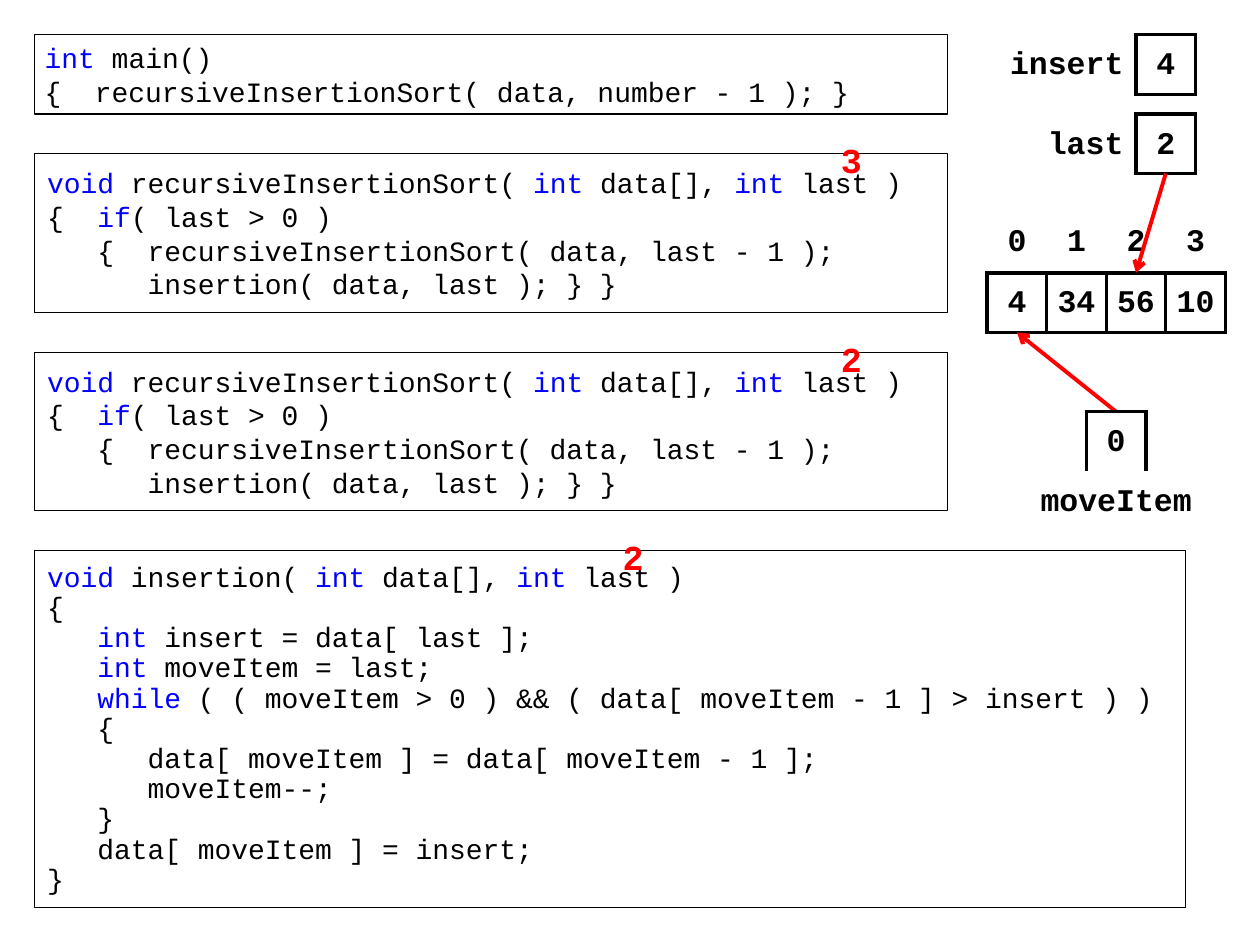
from lxml import etree
from pptx import Presentation
from pptx.dml.color import RGBColor
from pptx.enum.shapes import MSO_CONNECTOR, MSO_SHAPE
from pptx.enum.text import MSO_ANCHOR, PP_ALIGN
from pptx.oxml.ns import qn
from pptx.util import Cm, Inches, Pt

BLACK = RGBColor(0, 0, 0)
WHITE = RGBColor(255, 255, 255)
BLUE = RGBColor(0, 0, 255)
RED = RGBColor(255, 0, 0)

FONT = "Courier New"
CODE = {"name": FONT, "size": Pt(16), "bold": False}
VALUE = {"name": FONT, "size": Pt(18), "bold": True}
CALL = {"name": FONT, "size": Pt(20), "bold": True}

MARGIN, STEP = 0.7, 0.4  # grid origin and pitch in cm
CELL = 3                 # side of a variable's box in grid steps
NO_STYLE = "{2D5ABB26-0587-4C30-8999-92F81FD0307C}"

# Keywords stand between backticks
MAIN = ["`int` main()",
        "{  recursiveInsertionSort( data, number - 1 ); }"]
SORT = ["`void `recursiveInsertionSort( `int` data[], `int` last )",
        "{  `if`( last > 0 )",
        "   {  recursiveInsertionSort( data, last - 1 );",
        "      insertion( data, last ); } }"]
INSERTION = ["`void` insertion( `int` data[], `int `last )",
             "{",
             "   `int` insert = data[ last ];",
             "   `int `moveItem = last;",
             "   `while` ( ( moveItem > 0 ) && ( data[ moveItem - 1 ] > insert ) )",
             "   {",
             "      data[ moveItem ] = data[ moveItem - 1 ];",
             "      moveItem--;",
             "   }",
             "   data[ moveItem ] = insert;",
             "}"]


def at(*steps):
    return [Cm(MARGIN + STEP * n) for n in steps]


def size(*steps):
    return [Cm(STEP * n) for n in steps]


def apply(target, values):
    for name, value in values.items():
        setattr(target, name, value)


def add_run(paragraph, text, style, color):
    run = paragraph.add_run()
    run.text = text
    apply(run.font, style)
    run.font.color.rgb = color


def set_insets(target, left, top, right, bottom):
    apply(target, {"margin_left": Inches(left), "margin_top": Inches(top),
                   "margin_right": Inches(right), "margin_bottom": Inches(bottom)})


def add_code(slide, box, lines, side=0.1, edge=0, spacing=1.0):
    """A framed function with its keywords in blue."""
    col, row, width, height = box
    frame = slide.shapes.add_shape(MSO_SHAPE.RECTANGLE, *at(col, row), *size(width, height))
    frame.shadow.inherit = False
    frame.fill.background()
    frame.line.color.rgb = BLACK
    frame.line.width = Pt(0.75)
    body = frame.text_frame
    apply(body, {"word_wrap": True, "vertical_anchor": MSO_ANCHOR.MIDDLE})
    set_insets(body, side, edge, side, edge)
    for i, line in enumerate(lines):
        paragraph = body.add_paragraph() if i else body.paragraphs[0]
        apply(paragraph, {"alignment": PP_ALIGN.LEFT, "line_spacing": spacing})
        for j, part in enumerate(line.split("`")):
            if part:
                add_run(paragraph, part, CODE, BLUE if j % 2 else BLACK)


def add_call_value(slide, col, row, value):
    """The red argument above a parameter."""
    label = slide.shapes.add_textbox(*at(col, row), *size(2, 2))
    body = label.text_frame
    body.word_wrap = False
    set_insets(body, 0.1, 0.04, 0.1, 0)
    body.paragraphs[0].alignment = PP_ALIGN.CENTER
    add_run(body.paragraphs[0], value, CALL, RED)


def add_grid(slide, col, row, widths, rows):
    """An unstyled table whose rows are one cell high."""
    frame = slide.shapes.add_table(rows, len(widths), *at(col, row),
                                   *size(sum(widths), rows * CELL))
    table = frame.table
    apply(table, {"first_row": False, "horz_banding": False})
    table._tbl.tblPr.find(qn("a:tableStyleId")).text = NO_STYLE
    for column, width in zip(table.columns, widths):
        column.width = Cm(STEP * width)
    for line in table.rows:
        line.height = Cm(STEP * CELL)
    for cell in table.iter_cells():
        cell.fill.background()
    return table


def fill_cell(cell, text, sides="", align=PP_ALIGN.CENTER, side=0.08, bottom=0.02, fill=None):
    set_insets(cell, side, 0.05, side, bottom)
    cell.vertical_anchor = MSO_ANCHOR.MIDDLE
    paragraph = cell.text_frame.paragraphs[0]
    paragraph.alignment = align
    add_run(paragraph, text, VALUE, BLACK)
    # Borders precede the fill in the cell properties
    properties = cell._tc.get_or_add_tcPr()
    for i, edge in enumerate(sides):
        border = etree.Element(qn(f"a:ln{edge}"), w=str(Pt(2.25)))
        solid = etree.SubElement(border, qn("a:solidFill"))
        etree.SubElement(solid, qn("a:srgbClr"), val=str(BLACK))
        properties.insert(i, border)
    if fill is not None:
        cell.fill.solid()
        cell.fill.fore_color.rgb = fill


def add_variable(slide, col, row, label_width, name, value):
    """A name with its boxed value to the right."""
    table = add_grid(slide, col, row, [label_width, CELL], 1)
    fill_cell(table.cell(0, 0), name, align=PP_ALIGN.RIGHT, side=0.1)
    fill_cell(table.cell(0, 1), value, "LRTB")


def add_array(slide, col, row, values):
    """Indices over boxed values."""
    table = add_grid(slide, col, row, [CELL] * len(values), 2)
    for i, value in enumerate(values):
        fill_cell(table.cell(0, i), str(i), "B", bottom=0.05)
        fill_cell(table.cell(1, i), str(value), "LRTB", fill=WHITE)


def add_move_item(slide, col, row, value):
    """A boxed value over its name."""
    table = add_grid(slide, col, row, [CELL] * 3, 2)
    fill_cell(table.cell(0, 1), value, "LRT", side=0.1)
    table.cell(1, 0).merge(table.cell(1, 2))
    fill_cell(table.cell(1, 0), "moveItem", side=0.1)


def add_arrow(slide, *ends):
    arrow = slide.shapes.add_connector(MSO_CONNECTOR.STRAIGHT, *at(*ends))
    arrow.line.color.rgb = RED
    arrow.line.width = Pt(2.25)
    etree.SubElement(arrow.line._get_or_add_ln(), qn("a:tailEnd"), type="arrow")
    etree.SubElement(arrow._element.spPr, qn("a:effectLst"))


def add_call_stack(slide):
    add_code(slide, (0, 0, 46, 4), MAIN, side=0.08)
    for row, last in ((6, "3"), (16, "2")):
        add_code(slide, (0, row, 46, 8), SORT)
        add_call_value(slide, 40, row - 1, last)
    add_code(slide, (0, 26, 58, 18), INSERTION, edge=0.05, spacing=0.9)


def add_variables(slide):
    add_array(slide, 48, 9, [4, 34, 56, 10])
    add_arrow(slide, 54.5, 19, 49.5, 15)
    add_move_item(slide, 50, 19, "0")
    add_variable(slide, 48.5, 0, 7, "insert", "4")
    add_variable(slide, 49.5, 4, 6, "last", "2")
    add_arrow(slide, 57, 7, 55.5, 12)


def main():
    deck = Presentation()
    apply(deck, {"slide_width": Inches(10), "slide_height": Inches(7.5)})
    slide = deck.slides.add_slide(deck.slide_layouts[6])
    add_call_stack(slide)
    add_variables(slide)
    add_call_value(slide, 29, 25, "2")
    deck.save("out.pptx")


if __name__ == "__main__":
    main()
